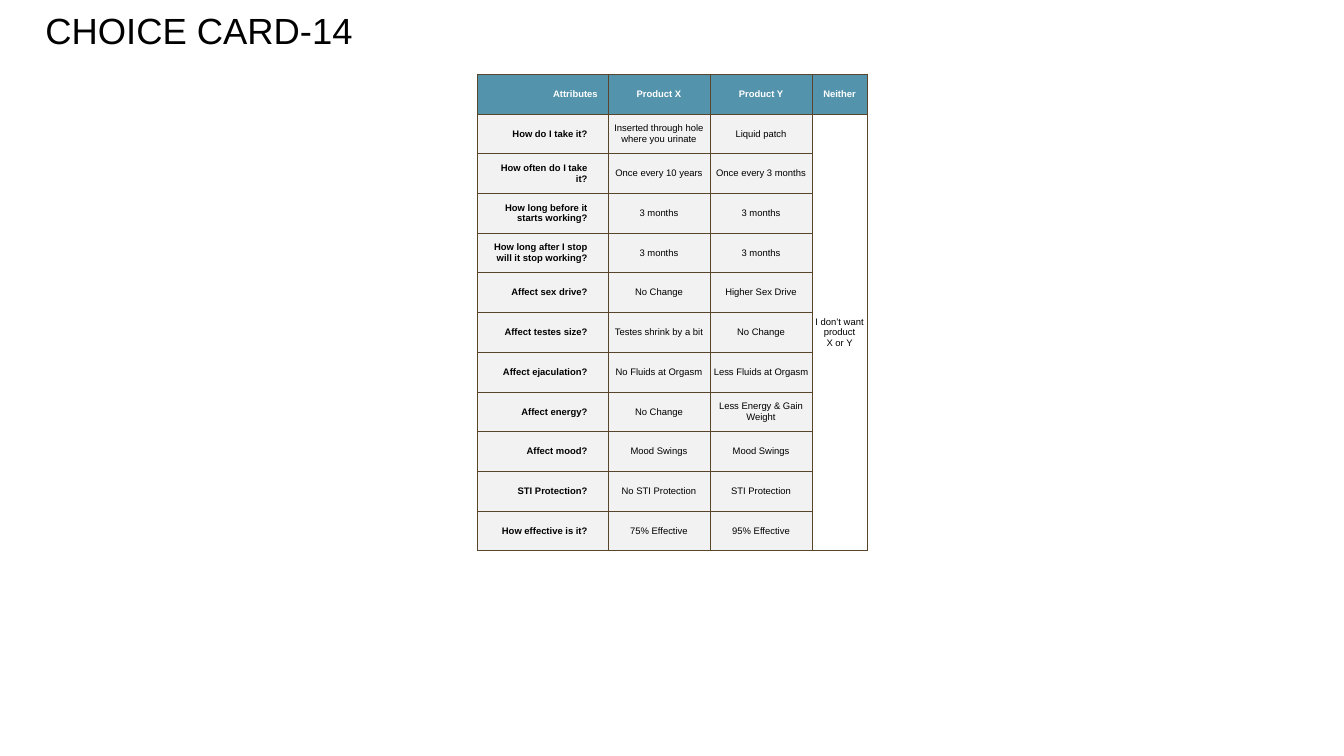
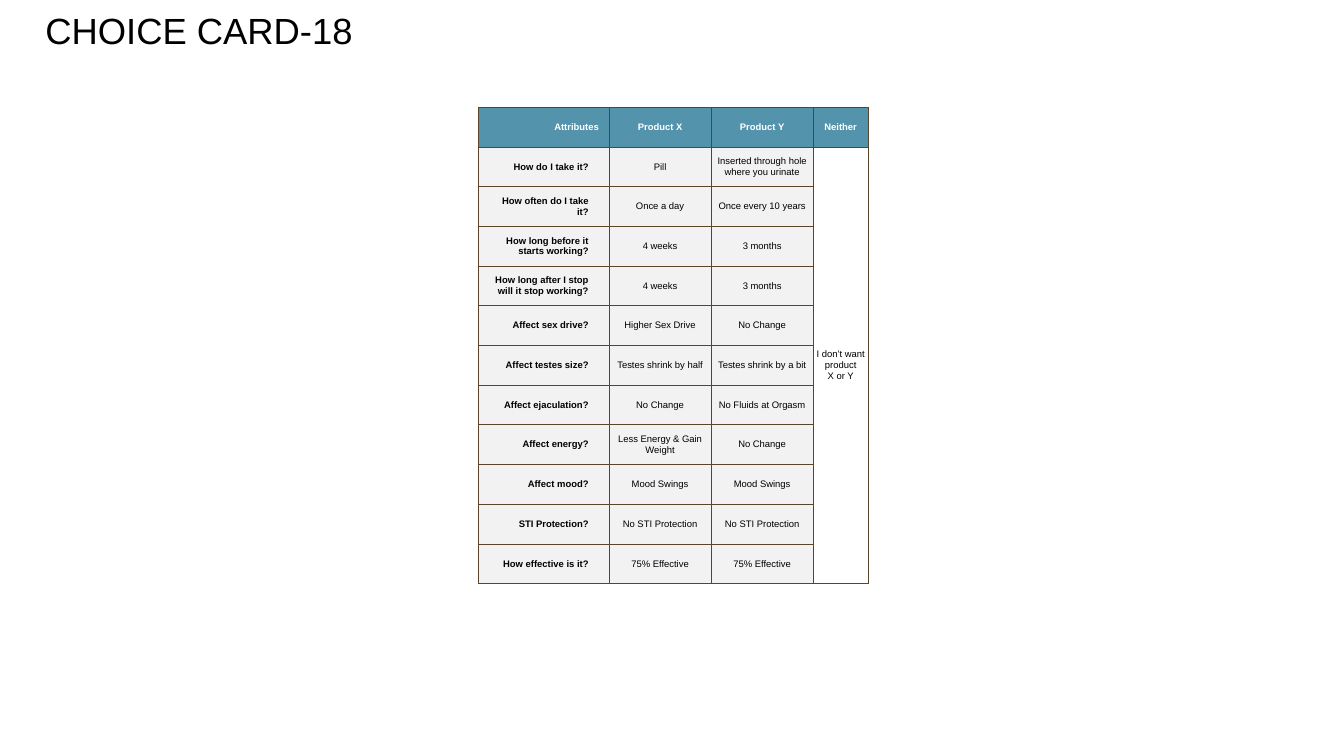
from dataclasses import dataclass

from lxml import etree
from pptx import Presentation
from pptx import util as u
from pptx.dml.color import RGBColor
from pptx.enum import text
from pptx.oxml import ns

PX = 9144  # EMU per px, 100 px to the inch
FONT = "Arial"
COLOURS = {
    "header": "5393AB",
    "body": "F2F2F2",
    "neither": "FFFFFF",
    "border": "59452A",
    "light": "FFFFFF",
    "dark": "000000",
}
COLUMN_WIDTHS = (230, 180, 180, 97)
ROW_HEIGHT = 70
HEADINGS = ("Attributes", "Product X", "Product Y", "Neither")
NEITHER_TEXT = "I don’t want product\nX or Y"
QUESTIONS = (
    "How do I take it?",
    "How often do I take it?",
    "How long before it starts working?",
    "How long after I stop will it stop working?",
    "Affect sex drive?",
    "Affect testes size?",
    "Affect ejaculation?",
    "Affect energy?",
    "Affect mood?",
    "STI Protection?",
    "How effective is it?",
)


@dataclass(frozen=True)
class CellStyle:
    fill: str
    colour: str
    bold: bool
    align: text.PP_ALIGN
    margins: tuple[int, int, int, int]  # left, top, right, bottom


@dataclass(frozen=True)
class ChoiceCard:
    title: str
    left: int
    top: int
    product_x: tuple[str, ...]
    product_y: tuple[str, ...]


RIGHT, CENTER = text.PP_ALIGN.RIGHT, text.PP_ALIGN.CENTER
CORNER = CellStyle("header", "light", True, RIGHT, (18, 9, 18, 9))
HEADING = CellStyle("header", "light", True, CENTER, (18, 9, 18, 9))
QUESTION = CellStyle("body", "dark", True, RIGHT, (18, 9, 36, 9))
ANSWER = CellStyle("body", "dark", False, CENTER, (4, 2, 4, 2))
NEITHER = CellStyle("neither", "dark", False, CENTER, (4, 2, 4, 2))

CARDS = (
    ChoiceCard(
        "CHOICE CARD-14", 842, 131,
        ("Inserted through hole where you urinate", "Once every 10 years",
         "3 months", "3 months", "No Change", "Testes shrink by a bit",
         "No Fluids at Orgasm", "No Change", "Mood Swings",
         "No STI Protection", "75% Effective"),
        ("Liquid patch", "Once every 3 months", "3 months", "3 months",
         "Higher Sex Drive", "No Change", "Less Fluids at Orgasm",
         "Less Energy & Gain Weight", "Mood Swings", "STI Protection",
         "95% Effective"),
    ),
    ChoiceCard(
        "CHOICE CARD-18", 844, 189,
        ("Pill", "Once a day", "4 weeks", "4 weeks", "Higher Sex Drive",
         "Testes shrink by half", "No Change", "Less Energy & Gain Weight",
         "Mood Swings", "No STI Protection", "75% Effective"),
        ("Inserted through hole where you urinate", "Once every 10 years",
         "3 months", "3 months", "No Change", "Testes shrink by a bit",
         "No Fluids at Orgasm", "No Change", "Mood Swings",
         "No STI Protection", "75% Effective"),
    ),
)


def px(length: int) -> u.Emu:
    return u.Emu(length * PX)


def rgb(name: str) -> RGBColor:
    return RGBColor.from_string(COLOURS[name])


def format_paragraph(para, size: float, colour: str, bold: bool) -> None:
    for span in para.runs:
        span.font.name = FONT
        span.font.size = u.Pt(size)
        span.font.bold = bold
        span.font.color.rgb = rgb(colour)


def add_title(page, title: str) -> None:
    box = page.shapes.add_textbox(px(73), px(42), px(1805), px(74))
    frame = box.text_frame
    frame.word_wrap = True
    frame.margin_left = frame.margin_top = px(7)
    frame.text = title
    para = frame.paragraphs[0]
    para.line_spacing = u.Pt(30.7)
    format_paragraph(para, 46.2, "dark", False)


def add_borders(cell) -> None:
    properties = cell._tc.get_or_add_tcPr()
    for index, side in enumerate(("lnL", "lnR", "lnT", "lnB")):
        line = etree.Element(ns.qn(f"a:{side}"), w=str(u.Pt(1)))
        fill = etree.SubElement(line, ns.qn("a:solidFill"))
        etree.SubElement(fill, ns.qn("a:srgbClr"), val=COLOURS["border"])
        properties.insert(index, line)


def style_cell(cell, style: CellStyle) -> None:
    cell.fill.solid()
    cell.fill.fore_color.rgb = rgb(style.fill)
    cell.vertical_anchor = text.MSO_ANCHOR.MIDDLE
    left, top, right, bottom = map(px, style.margins)
    cell.margin_left, cell.margin_right = left, right
    cell.margin_top, cell.margin_bottom = top, bottom
    for para in cell.text_frame.paragraphs:
        para.alignment = style.align
        format_paragraph(para, 12, style.colour, style.bold)
    add_borders(cell)


def add_choice_table(page, card: ChoiceCard) -> None:
    # Cell texts, row by row
    rows = [HEADINGS]
    rows += [(*row, "") for row in zip(QUESTIONS, card.product_x, card.product_y)]
    rows[1] = (*rows[1][:3], NEITHER_TEXT)

    # Grid
    frame = page.shapes.add_table(
        len(rows), len(HEADINGS), px(card.left), px(card.top),
        px(sum(COLUMN_WIDTHS)), px(ROW_HEIGHT * len(rows)))
    table = frame.table
    table.first_row = table.horz_banding = False
    for column, width in zip(table.columns, COLUMN_WIDTHS):
        column.width = px(width)

    # Cells
    for row_index, row in enumerate(rows):
        styles = ((QUESTION, ANSWER, ANSWER, NEITHER) if row_index
                  else (CORNER, HEADING, HEADING, HEADING))
        for column_index, (words, style) in enumerate(zip(row, styles)):
            cell = table.cell(row_index, column_index)
            cell.text_frame.text = words
            style_cell(cell, style)
    table.cell(1, 3).merge(table.cell(len(rows) - 1, 3))


def main() -> None:
    deck = Presentation()
    deck.slide_width, deck.slide_height = px(2370), px(1333)
    for card in CARDS:
        page = deck.slides.add_slide(deck.slide_layouts[6])
        add_title(page, card.title)
        add_choice_table(page, card)
    deck.save("out.pptx")


if __name__ == "__main__":
    main()
